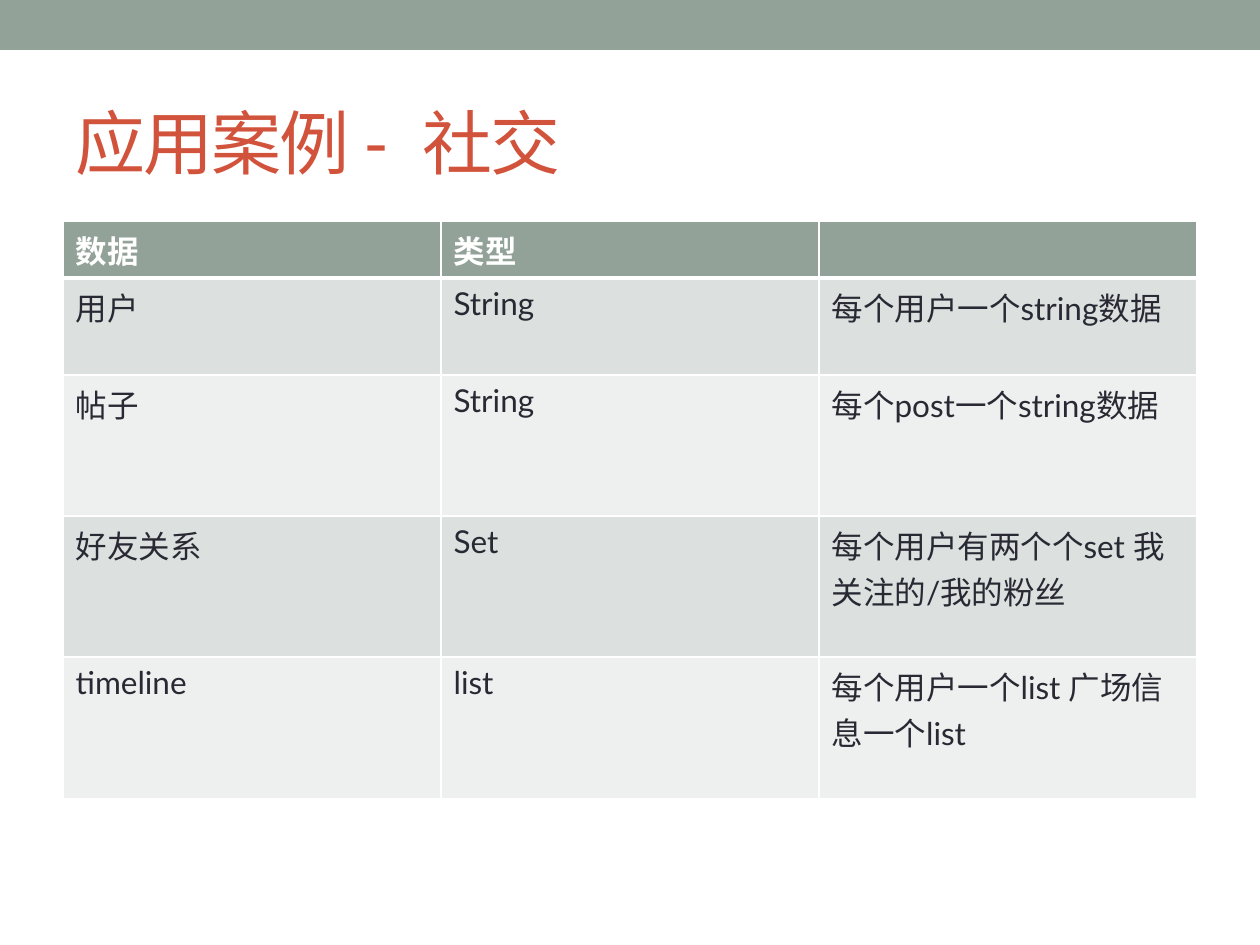
from dataclasses import dataclass

from lxml import etree
from pptx import Presentation
from pptx import util as u
from pptx.dml.color import RGBColor
from pptx.enum import shapes, text
from pptx.oxml.ns import qn

PX = u.Inches(1) / 126
COLORS = {
    "sage": "93A299",
    "title": "D2533C",
    "ink": "292934",
    "band_dark": "DCE0DE",
    "band_light": "EEF0EF",
    "white": "FFFFFF",
}
FONT = "Lato"
COLUMN_WIDTH = 378


@dataclass
class Row:
    height: int
    cells: tuple[str, str, str]


ROWS = [
    Row(57, ("数据", "类型", "")),
    Row(97, ("用户", "String", "每个用户一个string数据")),
    Row(141, ("帖子", "String", "每个post一个string数据")),
    Row(141, ("好友关系", "Set", "每个用户有两个个set 我关注的/我的粉丝")),
    Row(142, ("timeline", "list", "每个用户一个list 广场信息一个list")),
]


def px(*lengths: int) -> list[int]:
    return [u.Emu(round(length * PX)) for length in lengths]


def color(name: str) -> RGBColor:
    return RGBColor.from_string(COLORS[name])


def write(frame, words: str, size: int, color_name: str, bold: bool = False):
    run = frame.paragraphs[0].add_run()
    run.text = words
    formats = {"name": FONT, "size": u.Pt(size), "bold": bold}
    for attribute, value in formats.items():
        setattr(run.font, attribute, value)
    run.font.color.rgb = color(color_name)
    return run


def add_band(slide) -> None:
    band = slide.shapes.add_shape(shapes.MSO_SHAPE.RECTANGLE, *px(0, 0, 1260, 50))
    band.shadow.inherit = False
    band.fill.solid()
    band.fill.fore_color.rgb = color("sage")
    band.line.fill.background()


def add_title(slide, words: str) -> None:
    frame = slide.shapes.add_textbox(*px(63, 73, 1134, 136)).text_frame
    frame.word_wrap = True
    frame.vertical_anchor = text.MSO_ANCHOR.MIDDLE
    run = write(frame, words, 40, "title")
    run.font._element.set("spc", "-100")


def set_borders(cell, widths: dict[str, int]) -> None:
    """Draw white cell borders; must come before the fill in the XML."""
    properties = cell._tc.get_or_add_tcPr()
    for side, width in widths.items():
        line = etree.SubElement(properties, qn(f"a:ln{side}"), w=str(u.Pt(width)))
        fill = etree.SubElement(line, qn("a:solidFill"))
        etree.SubElement(fill, qn("a:srgbClr"), val=COLORS["white"])


def add_data_table(slide, rows: list[Row]) -> None:
    columns = len(rows[0].cells)
    height = sum(row.height for row in rows)
    frame = slide.shapes.add_table(
        len(rows), columns, *px(63, 221, columns * COLUMN_WIDTH, height))
    table = frame.table
    for column in table.columns:
        column.width = px(COLUMN_WIDTH)[0]
    for index, row in enumerate(rows):
        table.rows[index].height = px(row.height)[0]
        header = index == 0
        band = "sage" if header else ("band_light", "band_dark")[index % 2]
        widths = {"L": 1, "R": 1, "T": 3 if index == 1 else 1, "B": 3 if header else 1}
        for cell, words in zip(table.rows[index].cells, row.cells):
            set_borders(cell, widths)
            cell.fill.solid()
            cell.fill.fore_color.rgb = color(band)
            if words:
                write(cell.text_frame, words, 18, "white" if header else "ink", header)


def main() -> None:
    presentation = Presentation()
    presentation.slide_width, presentation.slide_height = px(1260, 945)
    slide = presentation.slides.add_slide(presentation.slide_layouts[6])
    add_band(slide)
    add_title(slide, "应用案例 -  社交")
    add_data_table(slide, ROWS)
    presentation.save("out.pptx")


if __name__ == "__main__":
    main()
